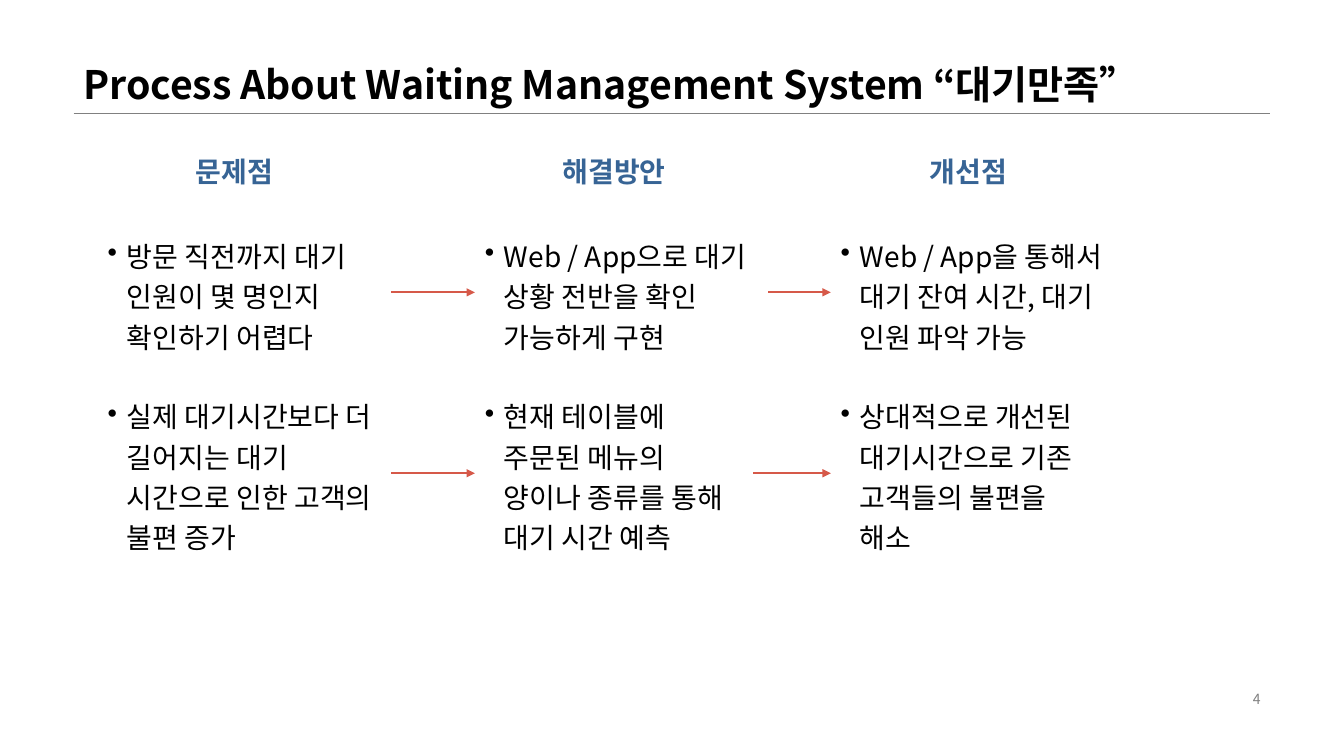
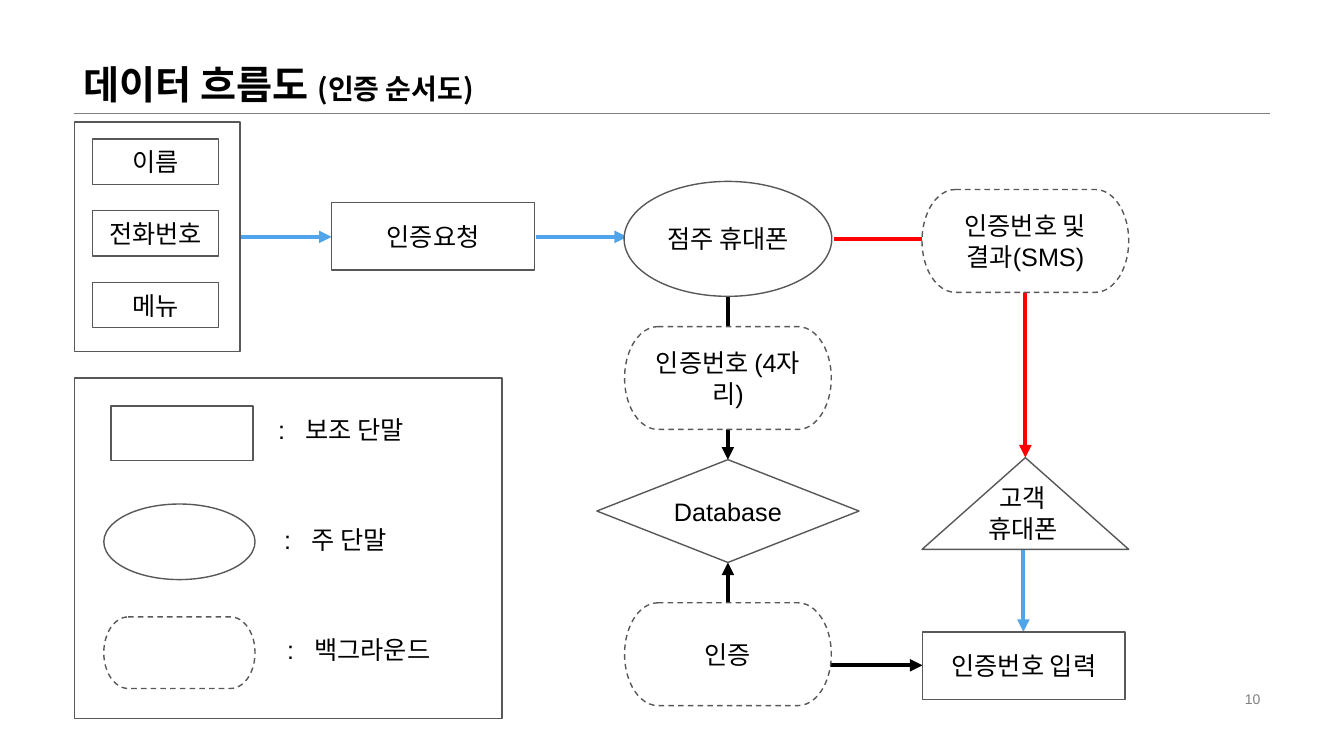
from dataclasses import dataclass

from lxml import etree
from pptx import Presentation
from pptx.dml.color import RGBColor
from pptx.enum.dml import MSO_LINE
from pptx.enum.shapes import MSO_CONNECTOR, MSO_SHAPE
from pptx.enum.text import MSO_ANCHOR, PP_ALIGN
from pptx.oxml.ns import qn
from pptx.slide import Slide
from pptx.text.text import TextFrame
from pptx.util import Inches, Pt

BLACK = RGBColor(0x00, 0x00, 0x00)
WHITE = RGBColor(0xFF, 0xFF, 0xFF)
GRAY = RGBColor(0x80, 0x80, 0x80)
OUTLINE = RGBColor(0x57, 0x58, 0x59)
HEADING_BLUE = RGBColor(0x37, 0x64, 0x95)
CORAL = RGBColor(0xD6, 0x59, 0x49)
SKY = RGBColor(0x50, 0xA4, 0xE9)
RED = RGBColor(0xFF, 0x00, 0x00)

KOREAN_FONT = "Noto Sans CJK KR"
LATIN_FONT = "Arial"

RECTANGLE = MSO_SHAPE.RECTANGLE
TERMINATOR = MSO_SHAPE.FLOWCHART_TERMINATOR
ELLIPSE = MSO_SHAPE.FLOWCHART_CONNECTOR
DIAMOND = MSO_SHAPE.FLOWCHART_DECISION
TRIANGLE = MSO_SHAPE.ISOSCELES_TRIANGLE
STRAIGHT = MSO_CONNECTOR.STRAIGHT
TOP, MIDDLE, BOTTOM = MSO_ANCHOR.TOP, MSO_ANCHOR.MIDDLE, MSO_ANCHOR.BOTTOM
LEFT, CENTER, RIGHT = PP_ALIGN.LEFT, PP_ALIGN.CENTER, PP_ALIGN.RIGHT
DASH = MSO_LINE.DASH

# Shared page grid, in inches
SLIDE_WIDTH, SLIDE_HEIGHT = 13.33, 7.5
MARGIN_LEFT, MARGIN_RIGHT = 0.73, 12.6
TITLE_BOTTOM = 1.12


@dataclass(frozen=True)
class Box:
    left: float
    top: float
    width: float
    height: float

    @property
    def right(self) -> float:
        return self.left + self.width

    @property
    def middle(self) -> float:
        return self.top + self.height / 2


@dataclass(frozen=True)
class TextStyle:
    size: float
    font: str = KOREAN_FONT
    color: RGBColor = BLACK
    bold: bool = False
    align: PP_ALIGN = LEFT
    anchor: MSO_ANCHOR = TOP
    line_spacing: float = 1.0
    hanging: float = 0
    bullet: str = ""


@dataclass(frozen=True)
class Arrow:
    start: tuple[float, float]
    end: tuple[float, float]
    color: RGBColor
    width: float = 3
    has_head: bool = True


@dataclass(frozen=True)
class Node:
    kind: MSO_SHAPE
    box: Box
    text: str = ""


TITLE = TextStyle(28, bold=True, anchor=BOTTOM, line_spacing=0.9)
HEADING = TextStyle(20, color=HEADING_BLUE, bold=True)
BULLET = TextStyle(20, line_spacing=1.2, hanging=0.19, bullet="•")
NODE = TextStyle(18, LATIN_FONT, align=CENTER, anchor=MIDDLE)
TRIANGLE_LABEL = TextStyle(18, LATIN_FONT, align=CENTER)
LEGEND = TextStyle(18, LATIN_FONT, hanging=0.27)


# Drawing helpers
def place(box: Box) -> tuple[int, int, int, int]:
    return (Inches(box.left), Inches(box.top),
            Inches(box.width), Inches(box.height))


def write(frame: TextFrame, text: str, style: TextStyle) -> None:
    frame.word_wrap = True
    frame.vertical_anchor = style.anchor
    frame.text = text
    for paragraph in frame.paragraphs:
        paragraph.alignment = style.align
        paragraph.line_spacing = style.line_spacing
        font = paragraph.font
        font.size, font.bold, font.name = Pt(style.size), style.bold, style.font
        font.color.rgb = style.color
        properties = paragraph._p.get_or_add_pPr()
        defaults = properties.find(qn("a:defRPr"))
        etree.SubElement(defaults, qn("a:ea"), typeface=KOREAN_FONT)
        if style.hanging:
            properties.set("marL", str(Inches(style.hanging)))
            properties.set("indent", str(-Inches(style.hanging)))
        if style.bullet:
            bullet = etree.Element(qn("a:buChar"), char=style.bullet)
            defaults.addprevious(bullet)


def add_text(slide: Slide, box: Box, text: str, style: TextStyle) -> TextFrame:
    frame = slide.shapes.add_textbox(*place(box)).text_frame
    write(frame, text, style)
    return frame


def add_arrow(slide: Slide, arrow: Arrow) -> None:
    ends = [Inches(value) for value in (*arrow.start, *arrow.end)]
    connector = slide.shapes.add_connector(STRAIGHT, *ends)
    connector.line.color.rgb = arrow.color
    connector.line.width = Pt(arrow.width)
    properties = connector._element.spPr
    if arrow.has_head:
        line = properties.find(qn("a:ln"))
        etree.SubElement(line, qn("a:tailEnd"), type="triangle")
    etree.SubElement(properties, qn("a:effectLst"))


def add_node(slide: Slide, node: Node) -> None:
    shape = slide.shapes.add_shape(node.kind, *place(node.box))
    shape.shadow.inherit = False
    shape.fill.solid()
    shape.fill.fore_color.rgb = WHITE
    shape.line.color.rgb = OUTLINE
    shape.line.width = Pt(1)
    if node.kind == TERMINATOR:
        shape.line.dash_style = DASH
    if node.text:
        write(shape.text_frame, node.text, NODE)


def add_page(presentation: Presentation, title: str, number: str,
             font: str, subtitle: str = "") -> Slide:
    slide = presentation.slides.add_slide(presentation.slide_layouts[6])
    width = MARGIN_RIGHT - MARGIN_LEFT
    add_arrow(slide, Arrow((MARGIN_LEFT, TITLE_BOTTOM),
                           (MARGIN_RIGHT, TITLE_BOTTOM), GRAY, 0.25, False))
    frame = add_text(slide, Box(MARGIN_LEFT, 0, width, TITLE_BOTTOM),
                     title, TITLE)
    if subtitle:
        run = frame.paragraphs[0].add_run()
        run.text = subtitle
        run.font.size = Pt(20)
    add_text(slide, Box(MARGIN_RIGHT - 3.18, 6.82, 3.18, 0.23), number,
             TextStyle(10, font, GRAY, align=RIGHT, anchor=MIDDLE))
    return slide


# Slide: problems, solutions and improvements
def build_process(presentation: Presentation) -> None:
    slide = add_page(presentation,
                     "Process About Waiting Management System “대기만족”",
                     "4", KOREAN_FONT)
    for index, heading in enumerate(("문제점", "해결방안", "개선점")):
        add_text(slide, Box(1.84 + 3.64 * index, 1.48, 1.49, 0.41),
                 heading, HEADING)

    column_lefts = (0.97, 4.71, 8.24)
    rows = (
        (2.26, 1.28, (2.91, 2.91, 2.91),
         ("방문 직전까지 대기 인원이 몇 명인지 확인하기 어렵다",
          "Web / App으로 대기 상황 전반을 확인 가능하게 구현",
          "Web / App을 통해서 대기 잔여 시간, 대기 인원 파악 가능")),
        (3.85, 1.69, (2.91, 2.76, 2.76),
         ("실제 대기시간보다 더 길어지는 대기 시간으로 인한 고객의 불편 증가",
          "현재 테이블에 주문된 메뉴의 양이나 종류를 통해 대기 시간 예측",
          "상대적으로 개선된 대기시간으로 기존 고객들의 불편을 해소")),
    )
    for top, height, widths, texts in rows:
        boxes = [Box(left, top, width, height)
                 for left, width in zip(column_lefts, widths)]
        for box, text in zip(boxes, texts):
            add_text(slide, box, text, BULLET)
        for box, following in zip(boxes, boxes[1:]):
            add_arrow(slide, Arrow((box.right, box.middle),
                                   (following.left, box.middle), CORAL, 1.5))


# Slide: authentication flow
def build_flow(presentation: Presentation) -> None:
    slide = add_page(presentation, "데이터 흐름도 ", "10", LATIN_FONT,
                     "(인증 순서도)")
    store_x, customer_x = 7.22, 10.17
    request_y, result_y, entry_y = 2.35, 2.37, 6.6

    def centered(kind: MSO_SHAPE, x: float, top: float, width: float,
                 height: float, text: str = "") -> Node:
        return Node(kind, Box(x - width / 2, top, width, height), text)

    # Arrows lie behind the nodes they pass
    arrows = (
        Arrow((2.39, request_y), (3.29, request_y), SKY),
        Arrow((5.32, request_y), (6.22, request_y), SKY),
        Arrow((8.27, result_y), (customer_x, result_y), RED, has_head=False),
        Arrow((customer_x, result_y), (customer_x, 4.54), RED),
        Arrow((customer_x - 0.02, 5.44), (customer_x - 0.02, 6.27), SKY),
        Arrow((store_x, 2.68), (store_x, 4.56), BLACK),
        Arrow((store_x, entry_y), (store_x, 5.58), BLACK),
        Arrow((store_x, entry_y), (9.15, entry_y), BLACK),
    )
    for arrow in arrows:
        add_arrow(slide, arrow)

    # Input fields
    add_node(slide, Node(RECTANGLE, Box(0.74, 1.21, 1.64, 2.28)))
    for index, field in enumerate(("이름", "전화번호", "메뉴")):
        add_node(slide, Node(RECTANGLE,
                             Box(0.92, 1.38 + 0.71 * index, 1.25, 0.45), field))

    # Flow steps
    steps = (
        Node(RECTANGLE, Box(3.29, 2.01, 2.01, 0.67), "인증요청"),
        centered(ELLIPSE, store_x, 1.8, 2.06, 1.14, "점주 휴대폰"),
        centered(TERMINATOR, store_x, 3.24, 2.05, 1.02, "인증번호 (4자리)"),
        centered(DIAMOND, store_x, 4.56, 2.6, 1.02, "Database"),
        centered(TERMINATOR, store_x, 5.98, 2.05, 1.02, "인증"),
        centered(TERMINATOR, customer_x, 1.88, 2.05, 1.02,
                 "인증번호 및 결과(SMS)"),
        centered(TRIANGLE, customer_x, 4.54, 2.05, 0.91),
        Node(RECTANGLE, Box(9.15, 6.27, 2.01, 0.67), "인증번호 입력"),
    )
    for step in steps:
        add_node(slide, step)
    add_text(slide, Box(9.27, 4.74, 1.75, 1.01), "고객\n휴대폰",
             TRIANGLE_LABEL)

    # Legend
    add_node(slide, Node(RECTANGLE, Box(0.74, 3.75, 4.24, 3.38)))
    legend = (
        (Node(RECTANGLE, Box(1.1, 4.03, 1.41, 0.54)), 2.66, "보조 단말"),
        (Node(ELLIPSE, Box(1.03, 5, 1.5, 0.75)), 2.72, "주 단말"),
        (Node(TERMINATOR, Box(1.03, 6.12, 1.5, 0.71)), 2.75, "백그라운드"),
    )
    for index, (symbol, left, meaning) in enumerate(legend):
        add_node(slide, symbol)
        add_text(slide, Box(left, 4.06 + 1.09 * index, 1.98, 0.4),
                 f":\t{meaning}", LEGEND)


def main() -> None:
    presentation = Presentation()
    presentation.slide_width = Inches(SLIDE_WIDTH)
    presentation.slide_height = Inches(SLIDE_HEIGHT)
    build_process(presentation)
    build_flow(presentation)
    presentation.save("out.pptx")


if __name__ == "__main__":
    main()
